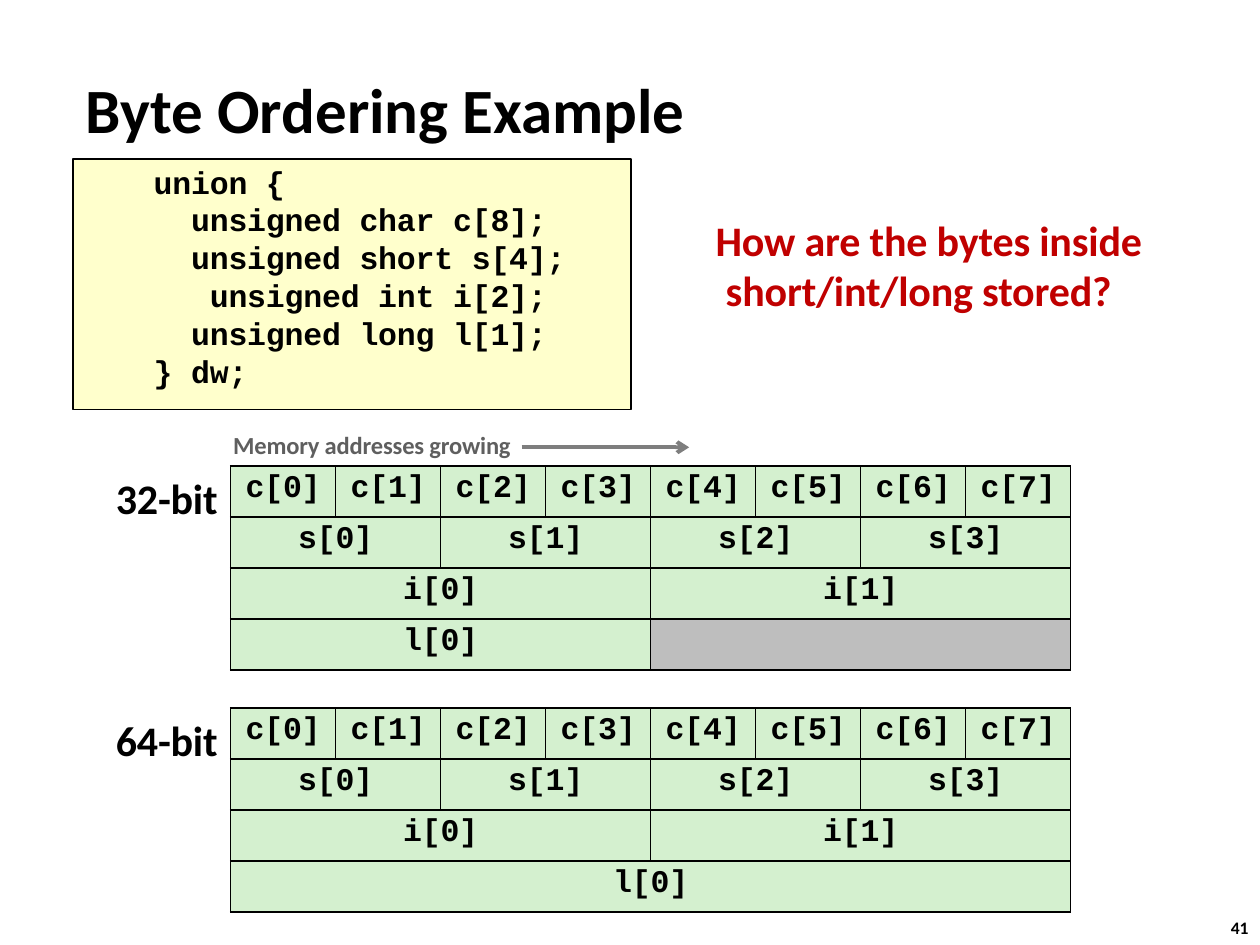
from lxml import etree
from pptx import Presentation
from pptx.dml.color import RGBColor
from pptx.enum.shapes import MSO_CONNECTOR as CONN, MSO_SHAPE as SHAPE
from pptx.enum.text import MSO_ANCHOR as ANCHOR, PP_ALIGN as ALIGN
from pptx.oxml import parse_xml
from pptx.oxml.ns import nsdecls, qn
from pptx.util import Inches, Pt

SANS, MONO = "Calibri", "Courier New"
BLACK, GREEN, GRAY = "000000", "D4F0CF", "BEBEBE"
CODE = [
    "union {",
    "  unsigned char c[8];",
    "  unsigned short s[4];",
    "   unsigned int i[2];",
    "  unsigned long l[1];",
    "} dw;",
]
COLS, ROW_H = 8, 0.405


def rgb(value):
    return RGBColor.from_string(value)


def write(tf, text, size=18, font=SANS, color=BLACK, align=ALIGN.LEFT,
          spacing=None, track=-0.1, indents=()):
    """Fill a text frame, one paragraph for each line of text."""
    for i, line in enumerate(text.split("\n")):
        p = tf.paragraphs[0] if i == 0 else tf.add_paragraph()
        p.alignment = align
        if spacing:
            p.line_spacing = Pt(spacing)
        if i < len(indents):
            p._p.get_or_add_pPr().set("marL", str(Inches(indents[i])))
        r = p.add_run()
        r.text = line
        r.font.name, r.font.size, r.font.bold = font, Pt(size), True
        r.font.color.rgb = rgb(color)
        r._r.get_or_add_rPr().set("spc", str(round(track * 100)))


def set_margins(box, left=0, top=0.01):
    box.margin_left, box.margin_top = Inches(left), Inches(top)
    box.margin_right = box.margin_bottom = 0


def add_text(s, x, y, w, h, text, left=0.01, top=0.02, **fmt):
    tf = s.shapes.add_textbox(Inches(x), Inches(y), Inches(w), Inches(h)).text_frame
    tf.word_wrap = False
    set_margins(tf, left, top)
    write(tf, text, **fmt)


def add_code(s, x, y, w, h):
    sp = s.shapes.add_shape(SHAPE.RECTANGLE, Inches(x), Inches(y), Inches(w), Inches(h))
    sp.shadow.inherit = False
    sp.fill.solid()
    sp.fill.fore_color.rgb = rgb("FFFFCC")
    sp.line.color.rgb = rgb(BLACK)
    sp.line.width = Pt(0.96)
    tf = sp.text_frame
    tf.word_wrap = True
    tf.vertical_anchor = ANCHOR.TOP
    set_margins(tf, 0.64, 0.03)
    write(tf, "\n".join(CODE), font=MONO, spacing=21.6)


def style_cell(cell, fill):
    tcPr = cell._tc.get_or_add_tcPr()
    for side in ("lnL", "lnR", "lnT", "lnB"):
        tcPr.append(parse_xml(
            f'<a:{side} {nsdecls("a")} w="{Pt(1)}"><a:solidFill>'
            f'<a:srgbClr val="{BLACK}"/></a:solidFill></a:{side}>'))
    cell.fill.solid()
    cell.fill.fore_color.rgb = rgb(fill)
    set_margins(cell, top=0.04)


def add_layout(s, x, y, w, label, long_span):
    """Memory layout of the union; each row holds one member's elements."""
    add_text(s, x - 0.92, y + 0.03, 0.84, 0.43, label, size=24)
    rows = [("c", 1), ("s", 2), ("i", 4), ("l", long_span)]
    frame = s.shapes.add_table(len(rows), COLS, Inches(x), Inches(y),
                               Inches(w), Inches(ROW_H * len(rows)))
    table = frame.table
    table.first_row = table.horz_banding = False
    for col in table.columns:
        col.width = Inches(w / COLS)
    for r, (name, span) in enumerate(rows):
        table.rows[r].height = Inches(ROW_H)
        for c in range(COLS):
            used = name != "l" or c < span
            cell = table.cell(r, c)
            style_cell(cell, GREEN if used else GRAY)
            if c % span == 0:
                if span > 1:
                    cell.merge(table.cell(r, c + span - 1))
                if used:
                    write(cell.text_frame, f"{name}[{c // span}]",
                          font=MONO, align=ALIGN.CENTER)


def add_direction(s, x, y):
    add_text(s, x, y, 2.26, 0.26, "Memory addresses growing", size=14, color="5F5F5F")
    mid = Inches(y + 0.16)
    arrow = s.shapes.add_connector(CONN.STRAIGHT, Inches(x + 2.3), mid, Inches(x + 3.63), mid)
    arrow.line.color.rgb = rgb("7E7E7E")
    arrow.line.width = Pt(2.25)
    etree.SubElement(arrow.line._get_or_add_ln(), qn("a:tailEnd"), type="arrow")
    etree.SubElement(arrow._element.spPr, qn("a:effectLst"))


def main():
    prs = Presentation()
    prs.slide_width, prs.slide_height = Inches(10), Inches(7.5)
    s = prs.slides.add_slide(prs.slide_layouts[6])
    add_text(s, 0.67, 0.54, 4.81, 0.63, "Byte Ordering Example", size=36, track=0)
    add_code(s, 0.58, 1.26, 4.43, 1.99)
    add_text(s, 5.67, 1.68, 3.45, 0.83,
             "How are the bytes inside\nshort/int/long stored?",
             size=24, color="C00000", indents=(0, 0.08))
    add_direction(s, 1.84, 3.39)
    add_layout(s, 1.83, 3.7, 6.67, "32-bit", long_span=4)
    add_layout(s, 1.83, 5.62, 6.67, "64-bit", long_span=8)
    add_text(s, 9.74, 7.3, 0.2, 0.17, "41", left=0.03, top=0, size=10, spacing=10.4)
    prs.save("out.pptx")


if __name__ == "__main__":
    main()
